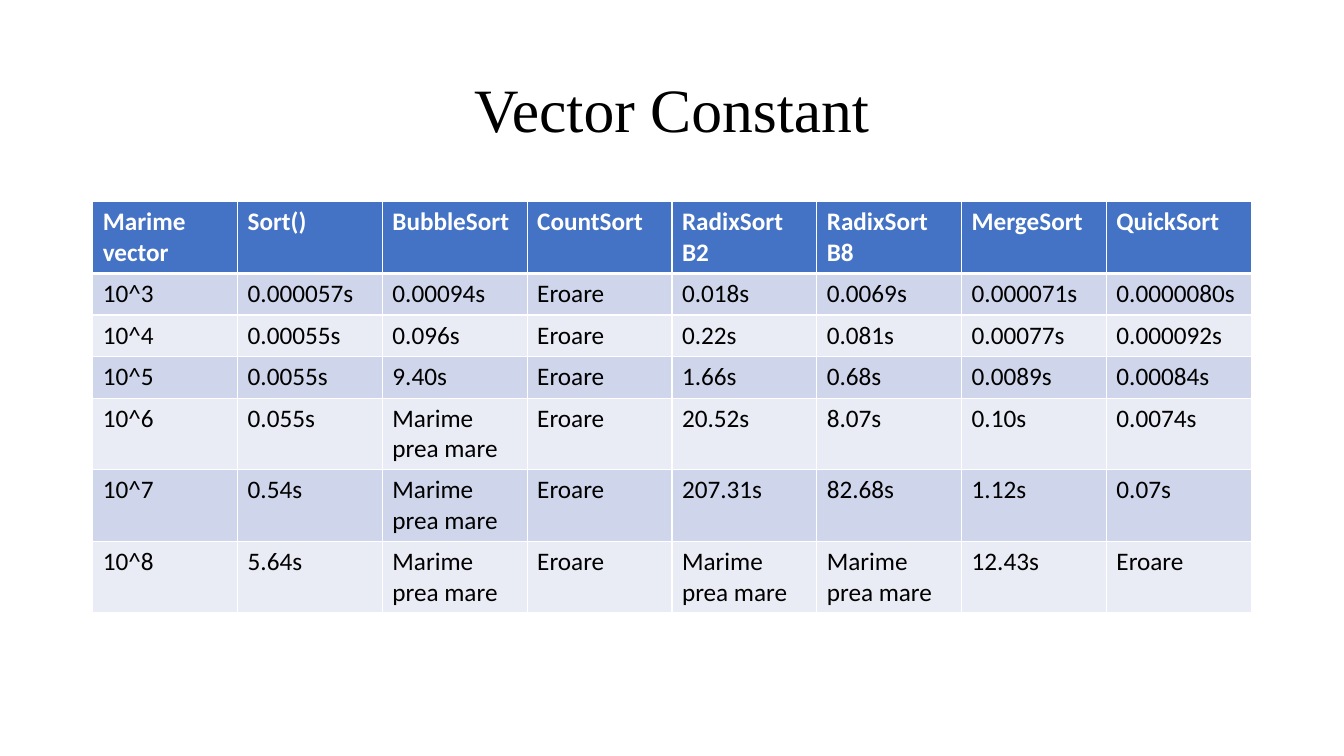
from pptx import Presentation
from pptx.dml.color import RGBColor as RGB
from pptx.enum.text import MSO_ANCHOR as ANCHOR, PP_ALIGN as ALIGN
from pptx.oxml import parse_xml
from pptx.oxml.ns import nsdecls
from pptx.util import Inches, Pt

COLORS = {"text": "000000", "white": "FFFFFF", "header": "4472C4",
          "odd": "CFD5EA", "even": "E9EBF5"}

TOO_BIG, ERROR = "Marime prea mare", "Eroare"
HEADER = ["Marime vector", "Sort()", "BubbleSort", "CountSort",
          "RadixSort B2", "RadixSort B8", "MergeSort", "QuickSort"]
TIMES = [
    ["10^3", "0.000057s", "0.00094s", ERROR, "0.018s", "0.0069s", "0.000071s", "0.0000080s"],
    ["10^4", "0.00055s", "0.096s", ERROR, "0.22s", "0.081s", "0.00077s", "0.000092s"],
    ["10^5", "0.0055s", "9.40s", ERROR, "1.66s", "0.68s", "0.0089s", "0.00084s"],
    ["10^6", "0.055s", TOO_BIG, ERROR, "20.52s", "8.07s", "0.10s", "0.0074s"],
    ["10^7", "0.54s", TOO_BIG, ERROR, "207.31s", "82.68s", "1.12s", "0.07s"],
    ["10^8", "5.64s", TOO_BIG, ERROR, TOO_BIG, TOO_BIG, "12.43s", ERROR],
]


class Deck:
    title_font, body_font = "Times New Roman", "Calibri"
    margin, row_height = 0.069, 0.055  # shares of slide width and height

    def __init__(self):
        self.prs = Presentation()
        self.prs.slide_width, self.prs.slide_height = Inches(13.33), Inches(7.5)
        self.slide = self.prs.slides.add_slide(self.prs.slide_layouts[5])

    def box(self, top, height):
        """Full-width band between the side margins."""
        w, h = self.prs.slide_width, self.prs.slide_height
        return (int(w * self.margin), int(h * top),
                int(w * (1 - 2 * self.margin)), int(h * height))

    def style(self, p, font, size, color, bold=False):
        for r in p.runs:
            r.font.name, r.font.size, r.font.bold = font, Pt(size), bold
            r.font.color.rgb = RGB.from_string(COLORS[color])

    def title(self, text, top, height):
        sp = self.slide.shapes.title
        sp.left, sp.top, sp.width, sp.height = self.box(top, height)
        tf = sp.text_frame
        tf.text, tf.vertical_anchor = text, ANCHOR.MIDDLE
        p = tf.paragraphs[0]
        p.alignment, p.line_spacing = ALIGN.CENTER, 0.9
        self.style(p, self.title_font, 44, "text")

    def borders(self, cell, top, bottom):
        tc_pr = cell._tc.get_or_add_tcPr()
        widths = {"lnL": 1, "lnR": 1, "lnT": top, "lnB": bottom}
        for i, (side, width) in enumerate(widths.items()):
            tc_pr.insert(i, parse_xml(
                f'<a:{side} {nsdecls("a")} w="{Pt(width)}"><a:solidFill>'
                f'<a:srgbClr val="{COLORS["white"]}"/></a:solidFill></a:{side}>'))

    def table(self, rows, top):
        size = len(rows), len(rows[0])
        box = self.box(top, self.row_height * len(rows))
        table = self.slide.shapes.add_table(*size, *box).table
        for i, row in enumerate(rows):
            fill = "header" if i == 0 else "odd" if i % 2 else "even"
            for j, text in enumerate(row):
                cell = table.cell(i, j)
                cell.text = text
                cell.fill.solid()
                cell.fill.fore_color.rgb = RGB.from_string(COLORS[fill])
                self.borders(cell, 3 if i == 1 else 1, 3 if i == 0 else 1)
                self.style(cell.text_frame.paragraphs[0], self.body_font, 18,
                           "text" if i else "white", bold=i == 0)


deck = Deck()

# Title
deck.title("Vector Constant", top=0.053, height=0.193)

# Sorting times by vector size
deck.table([HEADER] + TIMES, top=0.267)

deck.prs.save("out.pptx")
